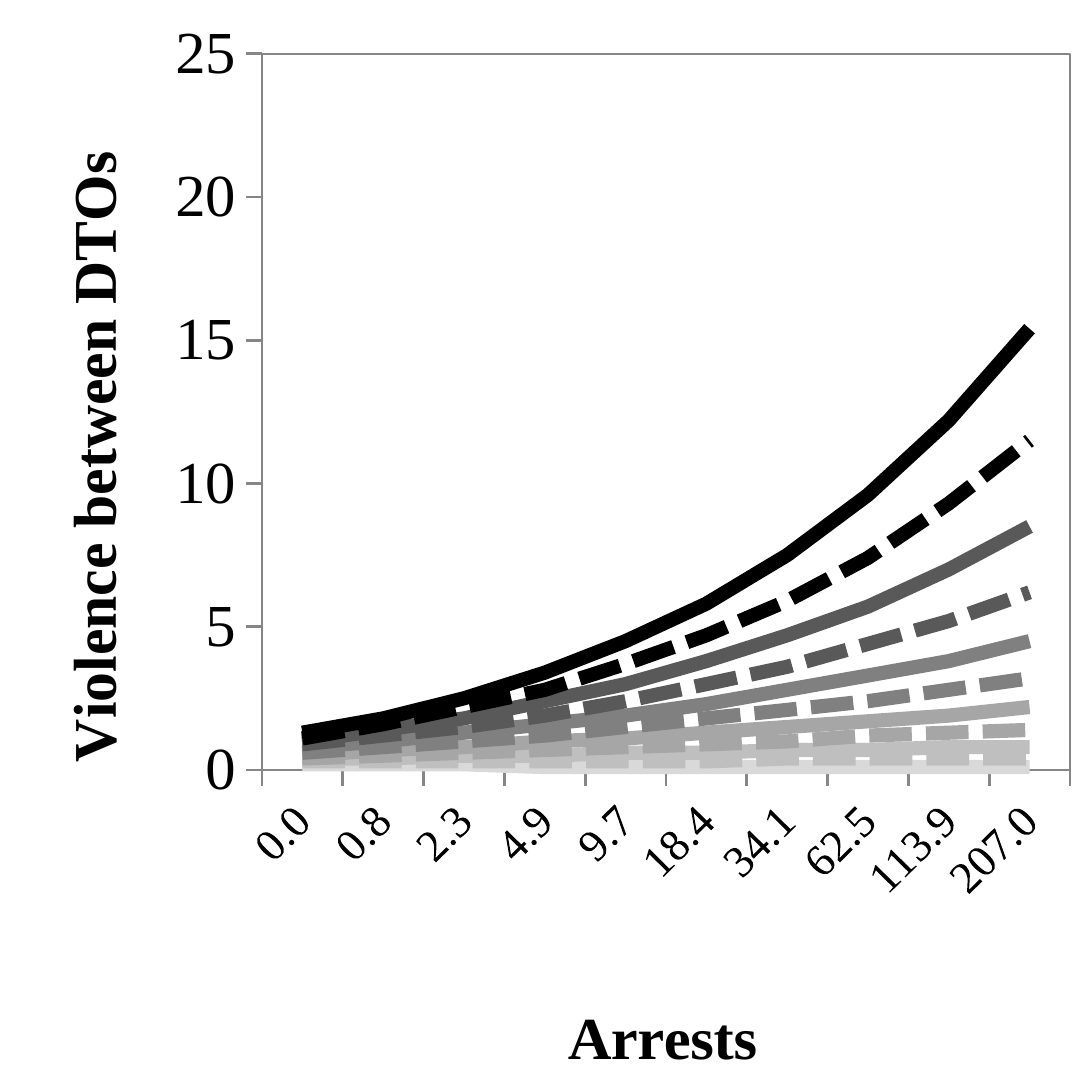
import pptx
import pptx.chart.data
import pptx.dml.color
import pptx.enum.chart
import pptx.enum.dml
import pptx.oxml
import pptx.oxml.ns
import pptx.util
from pptx.util import Cm

FONT = "Times New Roman"
AXIS_GREY = "868686"
ARRESTS = ["0.0", "0.8", "2.3", "4.9", "9.7", "18.4", "34.1", "62.5", "113.9", "207.0"]
# Colour, dashed, violence at each level of arrests
CURVES = [
    ("D9D9D9", False, [0.2, 0.2, 0.2, 0.1, 0.1, 0.1, 0.1, 0.1, 0.1, 0.1]),
    ("BFBFBF", True, [0.3, 0.3, 0.3, 0.3, 0.3, 0.3, 0.4, 0.4, 0.4, 0.4]),
    ("BFBFBF", False, [0.4, 0.4, 0.5, 0.5, 0.6, 0.6, 0.7, 0.7, 0.8, 0.8]),
    ("A6A6A6", True, [0.4, 0.5, 0.6, 0.7, 0.8, 0.9, 1, 1.2, 1.3, 1.4]),
    ("A6A6A6", False, [0.5, 0.7, 0.8, 1, 1.1, 1.3, 1.5, 1.7, 1.9, 2.2]),
    ("808080", True, [0.6, 0.8, 1, 1.2, 1.5, 1.8, 2.1, 2.4, 2.8, 3.2]),
    ("808080", False, [0.8, 1, 1.3, 1.6, 1.9, 2.3, 2.8, 3.3, 3.8, 4.5]),
    ("595959", True, [0.9, 1.2, 1.5, 1.9, 2.4, 3, 3.6, 4.4, 5.2, 6.2]),
    ("595959", False, [1, 1.4, 1.8, 2.4, 3, 3.8, 4.7, 5.7, 7, 8.5]),
    ("000000", True, [1.1, 1.6, 2.2, 2.8, 3.7, 4.7, 5.9, 7.4, 9.3, 11.5]),
    ("000000", False, [1.3, 1.8, 2.5, 3.4, 4.5, 5.8, 7.5, 9.6, 12.2, 15.4]),
]


def colour(hex_string):
    """Turn a hex string into a colour."""
    return pptx.dml.color.RGBColor.from_string(hex_string)


def style_font(font, size, bold=False, ink="000000"):
    """Set the typeface, size, weight and colour of a font."""
    font.name, font.size, font.bold = FONT, pptx.util.Pt(size), bold
    font.color.rgb = colour(ink)


def write(frame, text, size=16, bold=False, ink="000000"):
    """Write one formatted line into a text frame."""
    span = frame.paragraphs[0].add_run()
    span.text = text
    style_font(span.font, size, bold, ink)


def style_line(line, ink, width):
    """Set the colour and width in points of a line."""
    line.color.rgb = colour(ink)
    line.width = pptx.util.Pt(width)


def rotate(element, degrees):
    """Turn the text held in a chart element."""
    body = element.find(".//" + pptx.oxml.ns.qn("a:bodyPr"))
    body.set("rot", str(degrees * 60000))
    body.set("vert", "horz")


def set_layout(element, index, inner=False, **fractions):
    """Give a chart element a manual layout in fractions of the chart."""
    for old in element.findall(pptx.oxml.ns.qn("c:layout")):
        element.remove(old)
    parts = '<c:layoutTarget val="inner"/>' if inner else ""
    parts += '<c:xMode val="edge"/><c:yMode val="edge"/>'
    parts += "".join(f'<c:{key} val="{value}"/>' for key, value in fractions.items())
    element.insert(index, pptx.oxml.parse_xml(
        f'<c:layout {pptx.oxml.ns.nsdecls("c")}>'
        f"<c:manualLayout>{parts}</c:manualLayout></c:layout>"))


def format_axis(axis, title, label_size, x, y):
    """Style an axis and put its title at the given fractions."""
    axis.has_major_gridlines = False
    axis.major_tick_mark = pptx.enum.chart.XL_TICK_MARK.OUTSIDE
    axis.minor_tick_mark = pptx.enum.chart.XL_TICK_MARK.NONE
    style_line(axis.format.line, AXIS_GREY, 0.75)
    style_font(axis.tick_labels.font, label_size)
    write(axis.axis_title.text_frame, title, bold=True)
    set_layout(axis.axis_title._element, 1, x=x, y=y)


def frame_plot(chart):
    """Place the plot area, two thirds of the chart high, and outline it."""
    area = chart._chartSpace.chart.plotArea
    set_layout(area, 0, inner=True, x=0.24, y=0.05, w=0.74, h=2 / 3)
    area.append(pptx.oxml.parse_xml(
        f'<c:spPr {pptx.oxml.ns.nsdecls("c", "a")}><a:noFill/><a:ln w="6350">'
        f'<a:solidFill><a:srgbClr val="{AXIS_GREY}"/></a:solidFill></a:ln></c:spPr>'))


def draw_violence_chart(page, left, top, width, height):
    """Draw the curves of violence against arrests in the given box."""
    data = pptx.chart.data.CategoryChartData(number_format="0.0")
    data.categories = ARRESTS
    for number, (_, _, violence) in enumerate(CURVES, 1):
        data.add_series(f"Series {number}", violence)
    chart = page.shapes.add_chart(
        pptx.enum.chart.XL_CHART_TYPE.LINE, left, top, width, height, data).chart
    chart.has_legend = chart.has_title = False
    style_font(chart.font, 16)

    plot = chart.plots[0]
    plot.vary_by_categories = False
    for series, (ink, dashed, _) in zip(plot.series, CURVES):
        series.smooth = False
        style_line(series.format.line, ink, 3.75)
        if dashed:
            series.format.line.dash_style = pptx.enum.dml.MSO_LINE.SQUARE_DOT
            dash = series._element.find(".//" + pptx.oxml.ns.qn("a:prstDash"))
            dash.set("val", "sysDash")

    arrests, violence = chart.category_axis, chart.value_axis
    format_axis(arrests, "Arrests", 12, x=0.51, y=0.92)
    arrests.tick_label_position = pptx.enum.chart.XL_TICK_LABEL_POSITION.LOW
    rotate(arrests._element.txPr, -45)
    format_axis(violence, "Violence between DTOs", 16, x=0.04, y=0.14)
    rotate(violence.axis_title._element, -90)
    violence.minimum_scale, violence.maximum_scale = 0, 25
    violence.major_unit = 5
    violence.tick_labels.number_format = "0"
    violence.tick_labels.number_format_is_linked = False
    frame_plot(chart)


deck = pptx.Presentation()
deck.slide_width = deck.slide_height = Cm(10.16)
page = deck.slides.add_slide(deck.slide_layouts[6])
draw_violence_chart(page, Cm(0), Cm(0), deck.slide_width, deck.slide_height)
deck.save("out.pptx")
